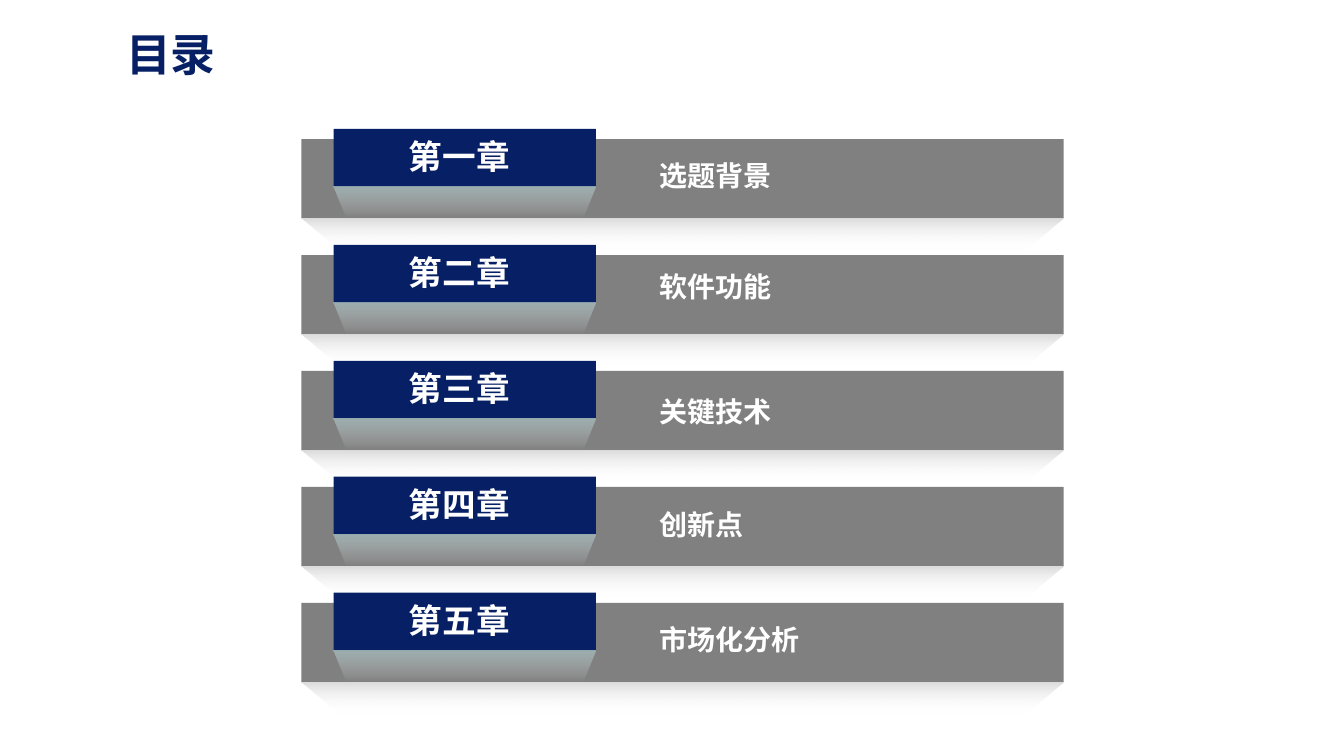
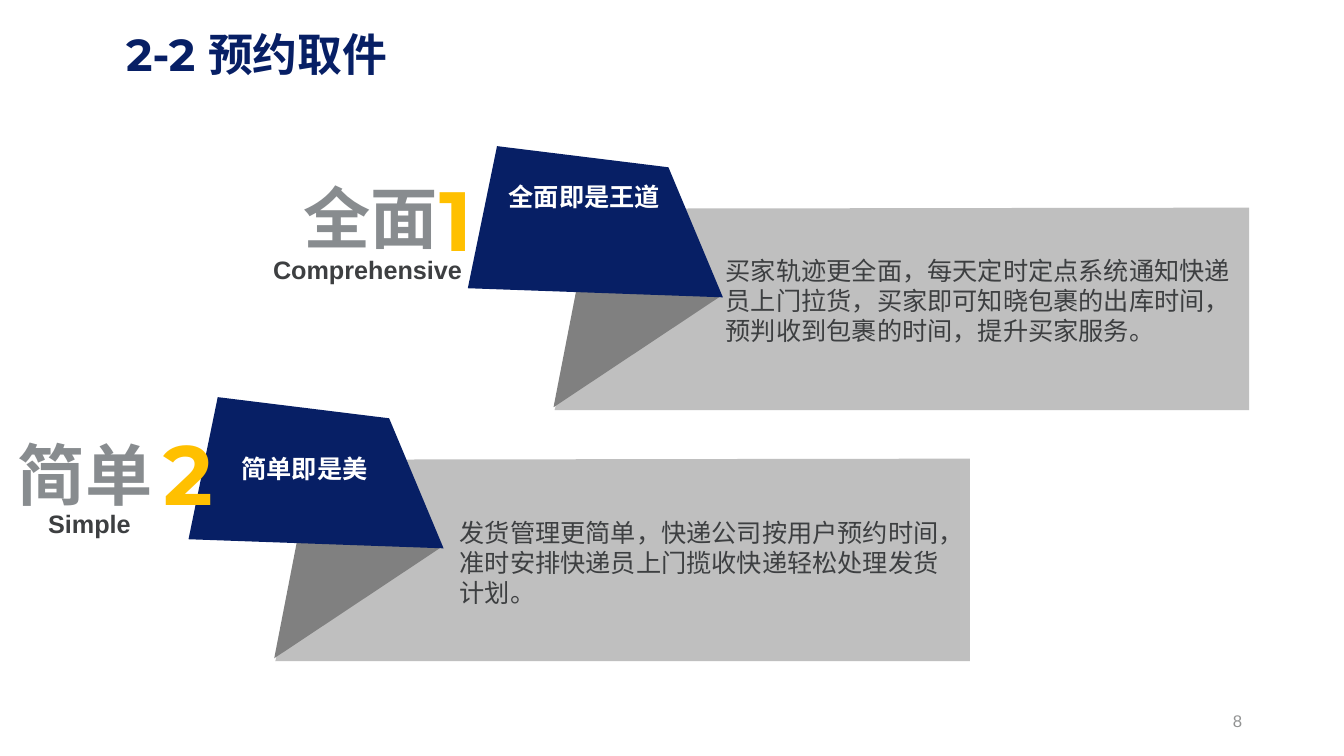
from dataclasses import dataclass

from lxml.etree import SubElement as Sub
from pptx import Presentation as Deck
from pptx.dml.color import RGBColor as Rgb
from pptx.enum.shapes import MSO_SHAPE as Kind
from pptx.enum.text import MSO_ANCHOR as Anchor, MSO_AUTO_SIZE as Fit, PP_ALIGN as Align
from pptx.oxml.ns import qn
from pptx.util import Inches, Pt


@dataclass(frozen=True)
class Theme:
    navy: str = "071F65"
    gray: str = "808080"
    pale: str = "BFBFBF"
    gold: str = "FFC000"
    white: str = "FFFFFF"
    ink: str = "3D3F41"
    mute: str = "888C8F"
    page: str = "929393"
    shade: tuple = (("DDDDDD", 100), ("FFFFFF", 0))
    glow: tuple = (("BBE0E3", 50), ("FFFFFF", 0))
    cjk: str = "Noto Sans CJK SC"
    latin: str = "Arial"
    head: str = "Montserrat"
    tiny: int = 12
    text: int = 18
    item: int = 20
    label: int = 24
    title: int = 32
    word: int = 48
    digit: int = 60


T = Theme()
GROW = {"word_wrap": True, "auto_size": Fit.SHAPE_TO_FIT_TEXT}
FREE = GROW | {"word_wrap": False}
FIXED = {"word_wrap": True, "auto_size": Fit.NONE}
LEFT, MID, RIGHT = ({"alignment": a} for a in (Align.LEFT, Align.CENTER, Align.RIGHT))
LOOKS = {
    "title": (FIXED | {"vertical_anchor": Anchor.BOTTOM}, LEFT | {"line_spacing": 0.9},
              T.head, T.title, T.navy, True),
    "label": (GROW, MID, T.cjk, T.label, T.white, True),
    "item": (GROW, LEFT, T.cjk, T.item, T.white, True),
    "motto": (GROW, MID, T.cjk, T.text, T.white, True),
    "body": (GROW, LEFT, T.cjk, T.text, T.ink, False),
    "word": (FREE, LEFT, T.latin, T.word, T.mute, True),
    "gloss": (FREE, LEFT, T.latin, T.text, T.ink, True),
    "digit": (FREE, LEFT, T.head, T.digit, T.gold, True),
    "page": (FIXED | {"vertical_anchor": Anchor.MIDDLE}, RIGHT, T.latin, T.tiny, T.page, False),
}

deck = Deck()
deck.slide_width, deck.slide_height = Inches(13.33), Inches(7.5)
COL, ROW = deck.slide_width / 133.3, deck.slide_height / 75


def write(sld, at, words, look):
    spot = [round(n * s) for n, s in zip(at, (COL, ROW, COL, ROW))]
    box = sld.shapes.title if look == "title" else sld.shapes.add_textbox(*spot)
    frame, para, face, size, ink, bold = LOOKS[look]
    block = box.text_frame
    line = block.paragraphs[0]
    run = line.add_run()
    run.text = words
    font = {"name": face, "size": Pt(size), "bold": bold}
    rect = dict(zip(("left", "top", "width", "height"), spot))
    for part, form in ((box, rect), (block, frame), (line, para), (run.font, font)):
        for key, val in form.items():
            setattr(part, key, val)
    run.font.color.rgb = Rgb.from_string(ink)
    Sub(run.font._element, qn("a:ea"), typeface=T.cjk)


def draw(sld, pts, fill):
    pts = [(round(x * COL), round(y * ROW)) for x, y in pts]
    if len(pts) == 2:
        (x, y), (right, low) = pts
        shape = sld.shapes.add_shape(Kind.RECTANGLE, x, y, right - x, low - y)
    else:
        path = sld.shapes.build_freeform(*pts[0])
        path.add_line_segments(pts[1:], close=True)
        shape = path.convert_to_shape()
    shape.shadow.inherit = False
    shape.line.fill.background()
    if isinstance(fill, str):
        shape.fill.solid()
        shape.fill.fore_color.rgb = Rgb.from_string(fill)
        return
    shape.fill.gradient()
    shape.fill.gradient_angle = 270
    for stop, (tone, _) in zip(shape.fill.gradient_stops, fill):
        stop.color.rgb = Rgb.from_string(tone)
    tones = shape._element.spPr.iter(qn("a:srgbClr"))
    for tone, (_, part) in zip(list(tones), fill):
        Sub(tone, qn("a:alpha"), val=str(part * 1000))


pages = []
for name in ("目录", "2-2 预约取件"):
    sld = deck.slides.add_slide(deck.slide_layouts[5])
    write(sld, (11.5, 0.9, 120.9, 7.7), name, "title")
    pages.append(sld)
index, detail = pages

CHAPS = (
    ("第一章", "选题背景", 1.4),
    ("第二章", "软件功能", 0.9),
    ("第三章", "关键技术", 1.8),
    ("第四章", "创新点", 1.6),
    ("第五章", "市场化分析", 1.5),
)
BAR, TAB, DROP = (29.9, 105.5), (33.1, 59.1), 3.1
for n, (chap, topic, gap) in enumerate(CHAPS):
    top = 13.8 + 11.5 * n
    parts = (
        (BAR, top, 7.9, T.gray, 3.8, T.shade),
        (TAB, top - 1, 5.7, T.navy, 1.3, T.glow),
    )
    for (x, end), y, tall, fill, _, _ in parts:
        draw(index, ((x, y), (end, y + tall)), fill)
    for (x, end), y, tall, _, cut, fade in parts:
        low = y + tall
        draw(index, ((x, low), (x + cut, low + DROP), (end - cut, low + DROP), (end, low)), fade)
    write(index, (36.1, top - 0.8, 18.9, 5), chap, "label")
    write(index, (64.4, top + gap, 37.8, 4.4), topic, "item")

FOLDS = (
    (T.pale, ((60.3, 20.7), (123.9, 20.6), (123.9, 40.7), (55, 40.7))),
    (T.gray, ((71.6, 29.3), (57.8, 25.5), (54.9, 40.4))),
    (T.navy, ((49.3, 14.5), (66.3, 16.6), (71.7, 29.5), (46.4, 28.6))),
)
CARDS = (
    (
        ("全面", "word", (29.1, 17, 15.5, 9.1)),
        ("Comprehensive", "gloss", (26.1, 24.7, 21, 4)),
        ("全面即是王道", "motto", (48.3, 17.5, 19.3, 4)),
        ("买家轨迹更全面，每天定时定点系统通知快递员上门拉货，买家即可知晓包裹的出库时间，"
         "预判收到包裹的时间，提升买家服务。", "body", (71, 24.8, 53.2, 12.5)),
        ("1", "digit", (42.6, 16.1, 7.6, 11.1)),
    ),
    (
        ("简单", "word", (0.8, 42.5, 15.5, 9.1)),
        ("Simple", "gloss", (3.8, 49.9, 10.3, 4)),
        ("简单即是美", "motto", (20, 44.5, 20.4, 4)),
        ("发货管理更简单，快递公司按用户预约时间，准时安排快递员上门揽收快递轻松处理发货计划。",
         "body", (44.6, 50.8, 49.8, 10.1)),
        ("2", "digit", (15.2, 41.3, 7.6, 11.1)),
    ),
)
for n, card in enumerate(CARDS):
    for fill, pts in FOLDS:
        draw(detail, [(x - 27.7 * n, y + 24.9 * n) for x, y in pts], fill)
    for words, look, at in card:
        write(detail, at, words, look)
write(detail, (94.2, 69.5, 30, 4), "8", "page")

deck.save("out.pptx")
